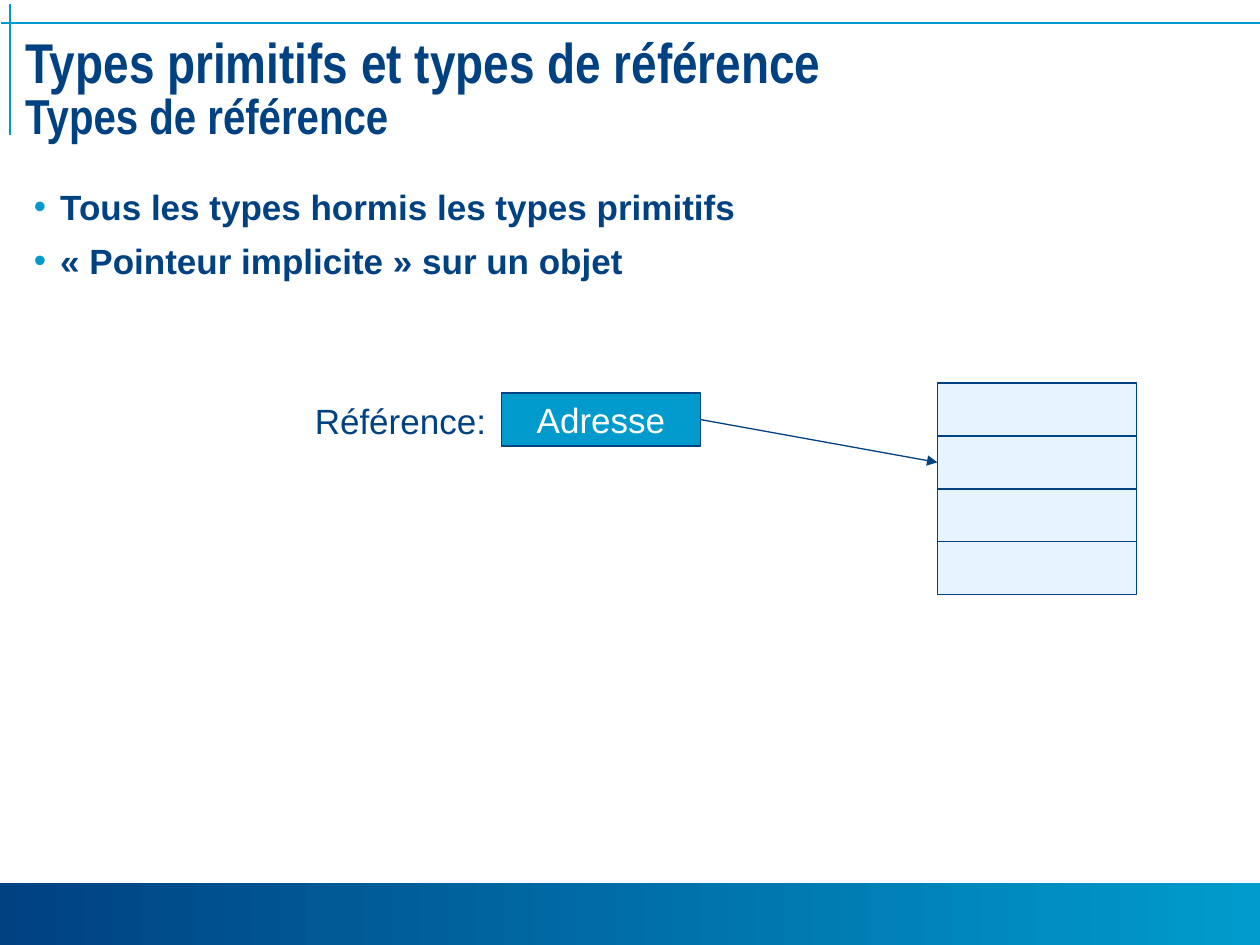
import pptx
import pptx.util
import pptx.dml.color
import pptx.oxml
import pptx.oxml.ns
from pptx.enum.shapes import MSO_CONNECTOR, MSO_SHAPE
from pptx.enum.text import MSO_ANCHOR, MSO_AUTO_SIZE, PP_ALIGN

Inches, Pt = pptx.util.Inches, pptx.util.Pt
NAVY, CYAN, PALE, WHITE = "004182", "009BCC", "E6F4FF", "FFFFFF"

TITLE = [("Types primitifs et types de référence", 32), ("Types de référence", 28)]
POINTS = ["Tous les types hormis les types primitifs",
          "«\u00a0Pointeur implicite\u00a0» sur un objet"]
RULES = [(0.01, 0.18, 10, 0.18), (0.08, 0.03, 0.08, 1.07)]
CELLS = 4
BOX_W, BOX_H = 1.58, 0.42
INDENT = 0.21

deck = pptx.Presentation()
deck.slide_width, deck.slide_height = Inches(10), Inches(7.5)
slide = deck.slides.add_slide(deck.slide_layouts[5])
shapes = slide.shapes


def color(code):
    return pptx.dml.color.RGBColor.from_string(code)


def element(tag, **attrs):
    node = pptx.oxml.parse_xml(f"<a:{tag} {pptx.oxml.ns.nsdecls('a')}/>")
    for key, val in attrs.items():
        node.set(key, val)
    return node


def add_run(para, text, size, code, bold=False, font="Arial"):
    run = para.add_run()
    run.text = text
    run.font.size, run.font.bold, run.font.name = Pt(size), bold, font
    run.font.color.rgb = color(code)


def add_box(left, top, fill):
    box = shapes.add_shape(MSO_SHAPE.RECTANGLE, Inches(left), Inches(top),
                           Inches(BOX_W), Inches(BOX_H))
    box.shadow.inherit = False
    box.fill.solid()
    box.fill.fore_color.rgb = color(fill)
    box.line.color.rgb = color(NAVY)
    box.line.width = Pt(0.75)
    return box


def add_line(ends, code, width):
    line = shapes.add_connector(MSO_CONNECTOR.STRAIGHT, *map(Inches, ends))
    line.line.color.rgb = color(code)
    line.line.width = Pt(width)
    line._element.spPr.append(element("effectLst"))
    return line


def add_text(left, top, width, height):
    return shapes.add_textbox(*map(Inches, (left, top, width, height))).text_frame


# Footer band and corner rules
band = shapes.add_shape(MSO_SHAPE.RECTANGLE, 0, Inches(7.01), Inches(10), Inches(0.49))
band.shadow.inherit = False
band.line.fill.background()
band.fill.gradient()
band.fill.gradient_angle = 0
for stop, pos, code in zip(band.fill.gradient_stops, (0, 1), (NAVY, CYAN)):
    stop.position = pos
    stop.color.rgb = color(code)
for ends in RULES:
    add_line(ends, CYAN, 1)

# Title
title = shapes.title
title.left, title.top, title.width, title.height = map(Inches, (0.1, 0.22, 9.83, 1.01))
frame = title.text_frame
frame.auto_size = MSO_AUTO_SIZE.NONE
frame.vertical_anchor = MSO_ANCHOR.MIDDLE
frame.margin_top = frame.margin_bottom = Inches(0.04)
para = frame.paragraphs[0]
para.alignment = PP_ALIGN.LEFT
para.line_spacing = 0.85
for i, (text, size) in enumerate(TITLE):
    if i:
        para.add_line_break()
    add_run(para, text, size, NAVY, True, "Arial Narrow")

# Bullet points
frame = add_text(0.17, 1.42, 9.67, 1.07)
frame.word_wrap = True
for i, text in enumerate(POINTS):
    para = frame.add_paragraph() if i else frame.paragraphs[0]
    para.space_before = Pt(7)
    props = para._p.get_or_add_pPr()
    props.set("marL", str(Inches(INDENT)))
    props.set("indent", str(-Inches(INDENT)))
    tint = element("buClr")
    tint.append(element("srgbClr", val=CYAN))
    props.extend([tint, element("buFont", typeface="Arial"), element("buChar", char="•")])
    add_run(para, text, 20, NAVY, True)

# Reference pointing to an object in memory
ref = add_box(3.98, 3.12, CYAN)
ref.text_frame.word_wrap = False
ref.text_frame.vertical_anchor = MSO_ANCHOR.MIDDLE
para = ref.text_frame.paragraphs[0]
para.alignment = PP_ALIGN.CENTER
add_run(para, "Adresse", 20, WHITE)

cells = [add_box(7.44, 3.04 + i * BOX_H, PALE) for i in range(CELLS)]

arrow = add_line((5.56, 3.33, 7.44, 3.67), NAVY, 0.75)
arrow.begin_connect(ref, 3)
arrow.end_connect(cells[1], 1)
arrow.line._get_or_add_ln().append(element("tailEnd", type="triangle"))

label = add_text(2.4, 3.12, 1.56, 0.43)
label.word_wrap = False
label.auto_size = MSO_AUTO_SIZE.SHAPE_TO_FIT_TEXT
add_run(label.paragraphs[0], "Référence:", 20, NAVY)

deck.save("out.pptx")
